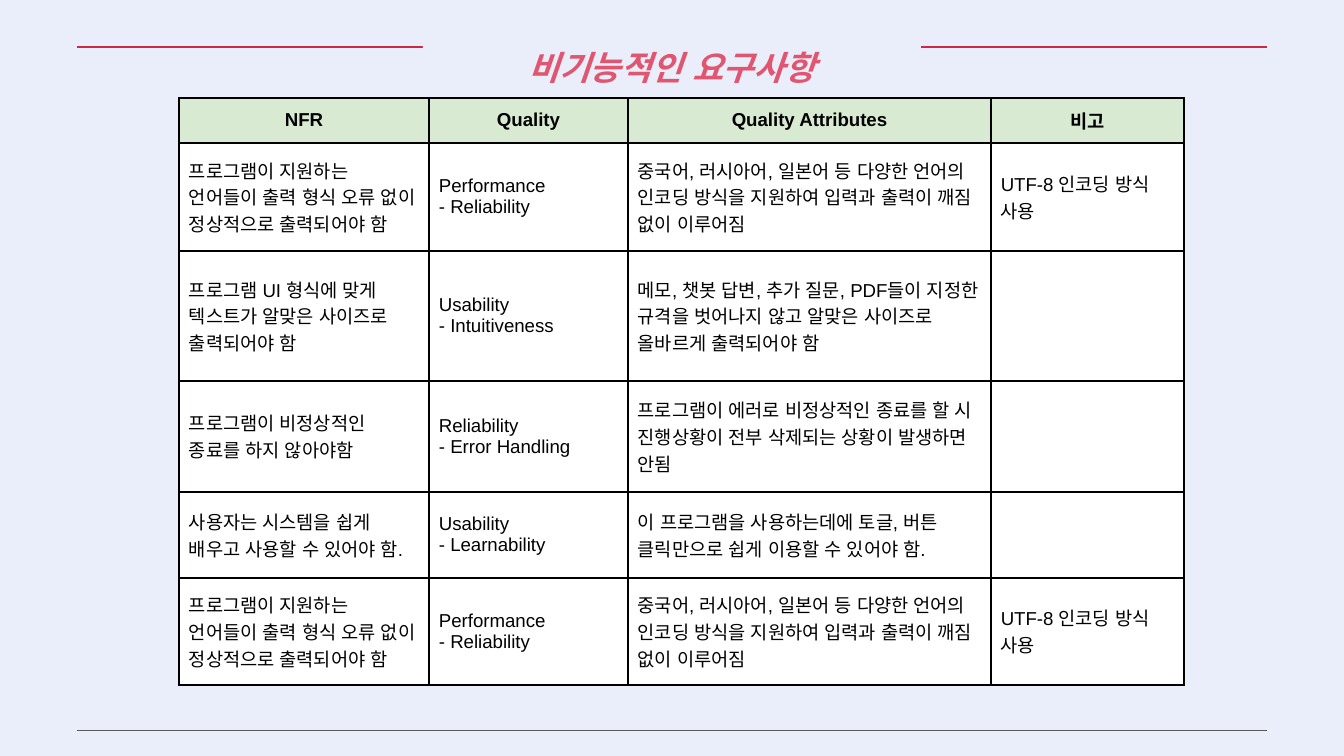
from lxml.etree import SubElement
from pptx import Presentation
from pptx.dml.color import RGBColor
from pptx.enum.lang import MSO_LANGUAGE_ID
from pptx.enum.shapes import MSO_CONNECTOR, MSO_SHAPE
from pptx.enum.text import MSO_ANCHOR, PP_ALIGN
from pptx.oxml.ns import qn
from pptx.util import Emu, Pt

COLORS = {"page": "EAEEFA", "head rule": "D02646", "foot rule": "595959", "title": "E05670",
          "header": "D9EAD3", "body": "FFFFFF", "ink": "000000"}
KOREAN_FONT = "Noto Sans CJK KR"


def px(length):
    return Emu(round(length * 9144000 / 1344))


def add_run(paragraph, text, size, font, color, bold=False, italic=False):
    run = paragraph.add_run()
    run.text = text
    run.font.size = Pt(size)
    run.font.name = font
    run.font.bold = bold
    run.font.italic = italic
    run.font.language_id = MSO_LANGUAGE_ID.KOREAN
    run.font.color.rgb = RGBColor.from_string(COLORS[color])
    SubElement(run.font._element, qn("a:ea"), typeface=KOREAN_FONT)


prs = Presentation()
prs.slide_width, prs.slide_height = px(1344), px(756)
slide = prs.slides.add_slide(prs.slide_layouts[6])
slide.background.fill.solid()
slide.background.fill.fore_color.rgb = RGBColor.from_string(COLORS["page"])

# Rules at the foot and the head of the page
for y, color, weight in ((731, "foot rule", 0.5), (47, "head rule", 0.75)):
    rule = slide.shapes.add_connector(MSO_CONNECTOR.STRAIGHT, px(77), px(y), px(1267), px(y))
    rule.line.color.rgb = RGBColor.from_string(COLORS[color])
    rule.line.width = Pt(weight)
    SubElement(rule._element.spPr, qn("a:effectLst"))

# Title, which interrupts the upper rule
title = slide.shapes.add_shape(MSO_SHAPE.RECTANGLE, px(423), px(22), px(498), px(40))
title.shadow.inherit = False
title.fill.solid()
title.fill.fore_color.rgb = RGBColor.from_string(COLORS["page"])
title.line.fill.background()
frame = title.text_frame
frame.word_wrap = True
frame.vertical_anchor = MSO_ANCHOR.TOP
frame.margin_left = frame.margin_right = px(9)
frame.margin_top = frame.margin_bottom = px(5)
heading = frame.paragraphs[0]
heading.alignment = PP_ALIGN.CENTER
heading.line_spacing = 1.5
add_run(heading, "비기능적인 요구사항", 18, KOREAN_FONT, "title", bold=True, italic=True)

# Requirements: one tuple per row, one line per paragraph
output_requirement = (
    "프로그램이 지원하는 언어들이 출력 형식 오류 없이 정상적으로 출력되어야 함",
    "Performance\n- Reliability",
    "중국어, 러시아어, 일본어 등 다양한 언어의 인코딩 방식을 지원하여 입력과 출력이 깨짐 없이 이루어짐",
    "UTF-8 인코딩 방식 사용")
requirements = [
    ("NFR", "Quality", "Quality Attributes", "비고"),
    output_requirement,
    ("프로그램 UI 형식에 맞게 텍스트가 알맞은 사이즈로 출력되어야 함",
     "Usability\n- Intuitiveness",
     "메모, 챗봇 답변, 추가 질문, PDF들이 지정한 규격을 벗어나지 않고 알맞은 사이즈로 올바르게 출력되어야 함",
     ""),
    ("프로그램이 비정상적인 종료를 하지 않아야함",
     "Reliability\n- Error Handling",
     "프로그램이 에러로 비정상적인 종료를 할 시 진행상황이 전부 삭제되는 상황이 발생하면 안됨",
     ""),
    ("사용자는 시스템을 쉽게 배우고 사용할 수 있어야 함.",
     "Usability\n- Learnability",
     "이 프로그램을 사용하는데에 토글, 버튼 클릭만으로 쉽게 이용할 수 있어야 함.",
     ""),
    output_requirement,
]
column_widths = [250, 199, 363, 193]
row_heights = [40, 108, 130, 111, 86, 107]

table = slide.shapes.add_table(len(row_heights), len(column_widths), px(179), px(98),
                               px(sum(column_widths)), px(sum(row_heights))).table
for column, width in zip(table.columns, column_widths):
    column.width = px(width)
for row, height in zip(table.rows, row_heights):
    row.height = px(height)

for r, requirement in enumerate(requirements):
    is_header = r == 0
    for c, text in enumerate(requirement):
        cell = table.cell(r, c)
        cell.vertical_anchor = MSO_ANCHOR.MIDDLE
        cell.margin_left = cell.margin_right = px(10)
        cell.margin_top = cell.margin_bottom = px(9)

        # Borders come before the fill in the cell properties
        for side in ("a:lnL", "a:lnR", "a:lnT", "a:lnB"):
            border = SubElement(cell._tc.get_or_add_tcPr(), qn(side), w=str(Pt(1)))
            SubElement(SubElement(border, qn("a:solidFill")), qn("a:srgbClr"), val=COLORS["ink"])
        cell.fill.solid()
        cell.fill.fore_color.rgb = RGBColor.from_string(COLORS["header" if is_header else "body"])

        for i, line in enumerate(text.split("\n") if text else []):
            paragraph = cell.text_frame.add_paragraph() if i else cell.text_frame.paragraphs[0]
            paragraph.alignment = PP_ALIGN.CENTER if is_header else PP_ALIGN.LEFT
            add_run(paragraph, line, 10, "Arial", "ink", bold=is_header)

prs.save("out.pptx")
